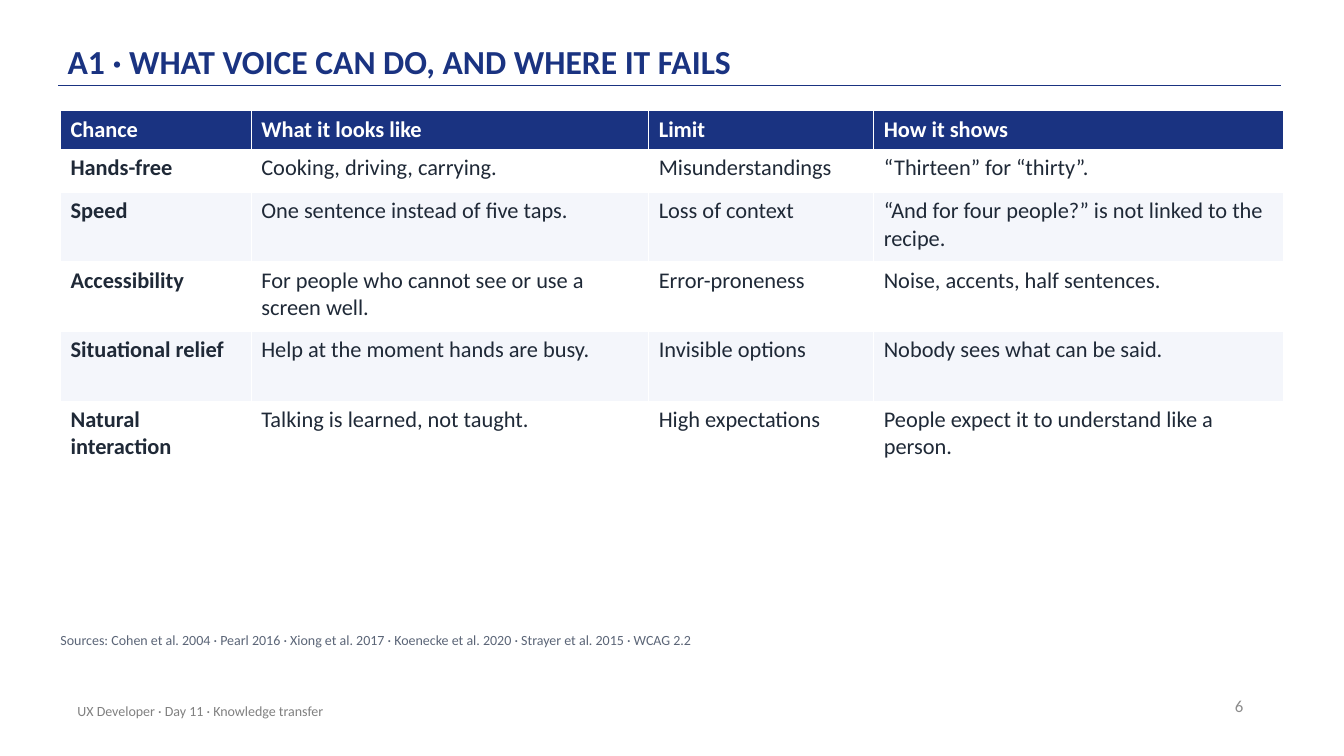
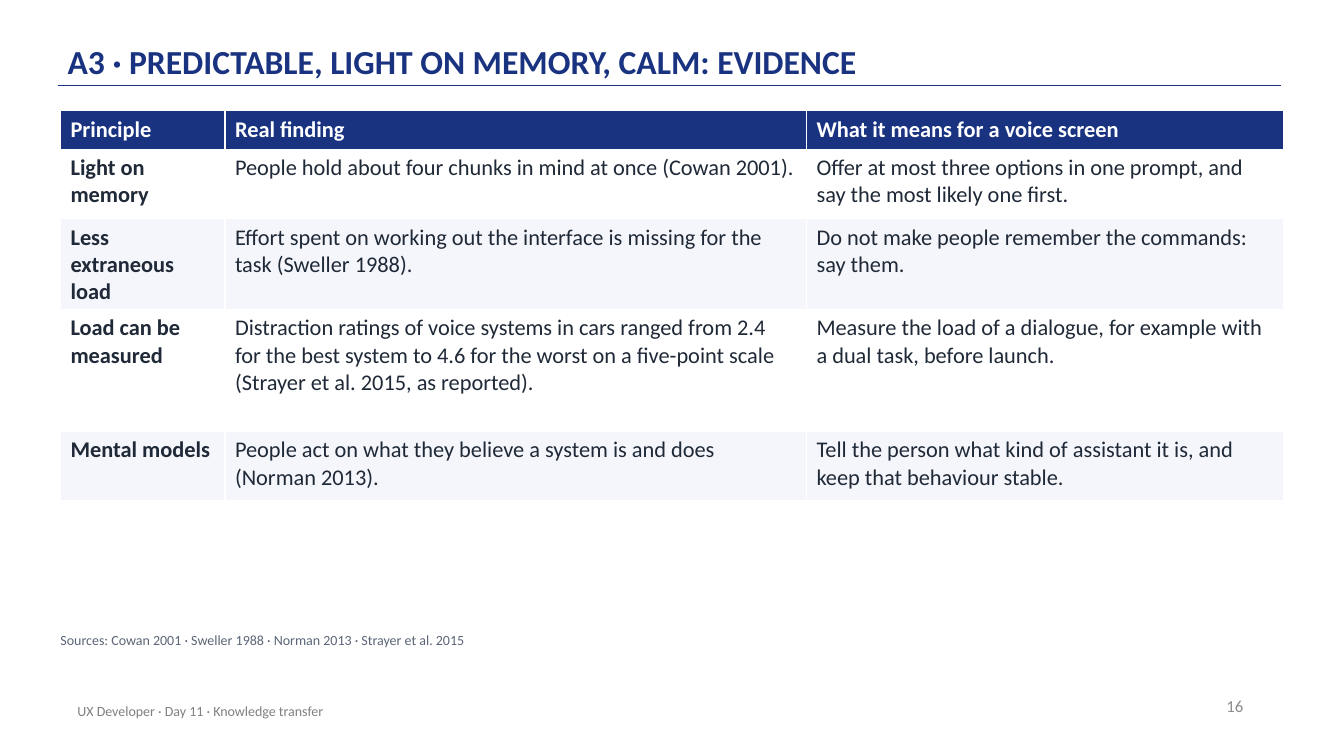
from dataclasses import dataclass
from typing import NamedTuple

from lxml.etree import SubElement
from pptx import Presentation
from pptx.dml.color import RGBColor
from pptx.enum.shapes import MSO_CONNECTOR as Link
from pptx.enum.text import MSO_ANCHOR as Anchor, MSO_AUTO_SIZE as Auto, PP_ALIGN as Align
from pptx.oxml.ns import qn
from pptx.util import Inches, Pt

WIDE, HIGH = 13.33, 7.5
FONT = "Calibri"
NAVY, INK, WHITE, PALE = "1A3381", "1F2937", "FFFFFF", "F4F6FB"
FOOTER = "UX Developer · Day 11 · Knowledge transfer"
LEFT, TOP, SPAN = 0.6, 1.1, 12.13
HEAD, PAD, LINE = 0.38, 0.17, 0.26


class Box(NamedTuple):
    x: float
    y: float
    w: float
    h: float


class Style(NamedTuple):
    size: float
    color: str
    bold: bool = False


@dataclass
class Page:
    title: str
    number: int
    shares: list[float]  # column widths, as percent of the table
    lines: list[int]  # text lines each body row has room for
    rows: list[list[str]]
    source: str


TITLE = Style(24, NAVY, True)
HEADER = Style(16, WHITE, True)
LABEL = Style(16, INK, True)
BODY = Style(16, INK)

PAGES = [
    Page(
        "A1 · WHAT VOICE CAN DO, AND WHERE IT FAILS", 6,
        [15.6, 32.5, 18.4, 33.5], [1, 2, 2, 2, 2],
        [
            ["Chance", "What it looks like", "Limit", "How it shows"],
            ["Hands-free", "Cooking, driving, carrying.",
             "Misunderstandings", "“Thirteen” for “thirty”."],
            ["Speed", "One sentence instead of five taps.", "Loss of context",
             "“And for four people?” is not linked to the recipe."],
            ["Accessibility", "For people who cannot see or use a screen well.",
             "Error-proneness", "Noise, accents, half sentences."],
            ["Situational relief", "Help at the moment hands are busy.",
             "Invisible options", "Nobody sees what can be said."],
            ["Natural interaction", "Talking is learned, not taught.",
             "High expectations", "People expect it to understand like a person."],
        ],
        "Sources: Cohen et al. 2004 · Pearl 2016 · Xiong et al. 2017 · "
        "Koenecke et al. 2020 · Strayer et al. 2015 · WCAG 2.2",
    ),
    Page(
        "A3 · PREDICTABLE, LIGHT ON MEMORY, CALM: EVIDENCE", 16,
        [13.45, 47.55, 39], [2, 2, 4, 2],
        [
            ["Principle", "Real finding", "What it means for a voice screen"],
            ["Light on memory",
             "People hold about four chunks in mind at once (Cowan 2001).",
             "Offer at most three options in one prompt, and say the most likely one first."],
            ["Less extraneous load",
             "Effort spent on working out the interface is missing for the task (Sweller 1988).",
             "Do not make people remember the commands: say them."],
            ["Load can be measured",
             "Distraction ratings of voice systems in cars ranged from 2.4 for the best "
             "system to 4.6 for the worst on a five-point scale "
             "(Strayer et al. 2015, as reported).",
             "Measure the load of a dialogue, for example with a dual task, before launch."],
            ["Mental models",
             "People act on what they believe a system is and does (Norman 2013).",
             "Tell the person what kind of assistant it is, and keep that behaviour stable."],
        ],
        "Sources: Cowan 2001 · Sweller 1988 · Norman 2013 · Strayer et al. 2015",
    ),
]


def tint(color: str) -> RGBColor:
    return RGBColor.from_string(color)


def assign(item, values: dict) -> None:
    for name, value in values.items():
        setattr(item, name, value)


def write(frame, text: str, style: Style, **form) -> None:
    """Fill a text frame with one paragraph; form holds paragraph attributes."""
    frame.text = text
    para = frame.paragraphs[0]
    assign(para, form)
    font = para.runs[0].font
    assign(font, {"name": FONT, "size": Pt(style.size), "bold": style.bold})
    font.color.rgb = tint(style.color)


def add_text(slide, box: Box, text: str, style: Style, frame: dict, **form) -> None:
    shape = slide.shapes.add_textbox(*map(Inches, box))
    assign(shape.text_frame, {"word_wrap": True, **frame})
    write(shape.text_frame, text, style, **form)


def add_title(slide, text: str) -> None:
    title = slide.shapes.title
    box = Box(0.67, 0.12, 11, 0.72)
    assign(title, dict(zip(("left", "top", "width", "height"), map(Inches, box))))
    assign(title.text_frame, {
        "vertical_anchor": Anchor.BOTTOM, "word_wrap": True, "auto_size": Auto.NONE,
        "margin_left": 0, "margin_right": 0,
        "margin_top": Inches(0.03), "margin_bottom": Inches(0.03),
    })
    write(title.text_frame, text, TITLE, alignment=Align.LEFT, line_spacing=0.9)


def add_rule(slide) -> None:
    ends = map(Inches, (0.58, 0.85, 12.71, 0.85))
    rule = slide.shapes.add_connector(Link.STRAIGHT, *ends)
    rule.line.color.rgb = tint(NAVY)
    rule.line.width = Pt(1)
    SubElement(rule._element.spPr, qn("a:effectLst"))


def add_grid(slide, page: Page) -> None:
    highs = [HEAD] + [PAD + LINE * count for count in page.lines]
    size = map(Inches, (LEFT, TOP, SPAN, sum(highs)))
    table = slide.shapes.add_table(len(page.rows), len(page.shares), *size).table
    table.horz_banding = False
    for col, share in zip(table.columns, page.shares):
        col.width = Inches(SPAN * share / 100)
    for r, (row, high, texts) in enumerate(zip(table.rows, highs, page.rows)):
        row.height = Inches(high)
        shade = NAVY if r == 0 else (PALE, WHITE)[r % 2]
        for c, (cell, text) in enumerate(zip(row.cells, texts)):
            cell.fill.solid()
            cell.fill.fore_color.rgb = tint(shade)
            style = HEADER if r == 0 else LABEL if c == 0 else BODY
            write(cell.text_frame, text, style)


def add_page(deck, page: Page) -> None:
    slide = deck.slides.add_slide(deck.slide_layouts.get_by_name("Title Only"))
    add_rule(slide)
    add_title(slide, page.title)
    middle = {"vertical_anchor": Anchor.MIDDLE}
    add_text(slide, Box(9.43, 6.8, 3, 0.4), str(page.number),
             Style(12, "8C8C8C"), middle, alignment=Align.RIGHT)
    add_text(slide, Box(0.67, 6.85, 6.7, 0.4), FOOTER, Style(10, "808080"), middle)
    add_grid(slide, page)
    flush = {f"margin_{side}": 0 for side in ("left", "top", "right", "bottom")}
    add_text(slide, Box(LEFT, 6.27, 12.1, 0.3), page.source, Style(10, "5B6577"),
             {**flush, "auto_size": Auto.SHAPE_TO_FIT_TEXT}, space_after=Pt(6))


def main() -> None:
    deck = Presentation()
    assign(deck, {"slide_width": Inches(WIDE), "slide_height": Inches(HIGH)})
    for page in PAGES:
        add_page(deck, page)
    deck.save("out.pptx")


if __name__ == "__main__":
    main()
